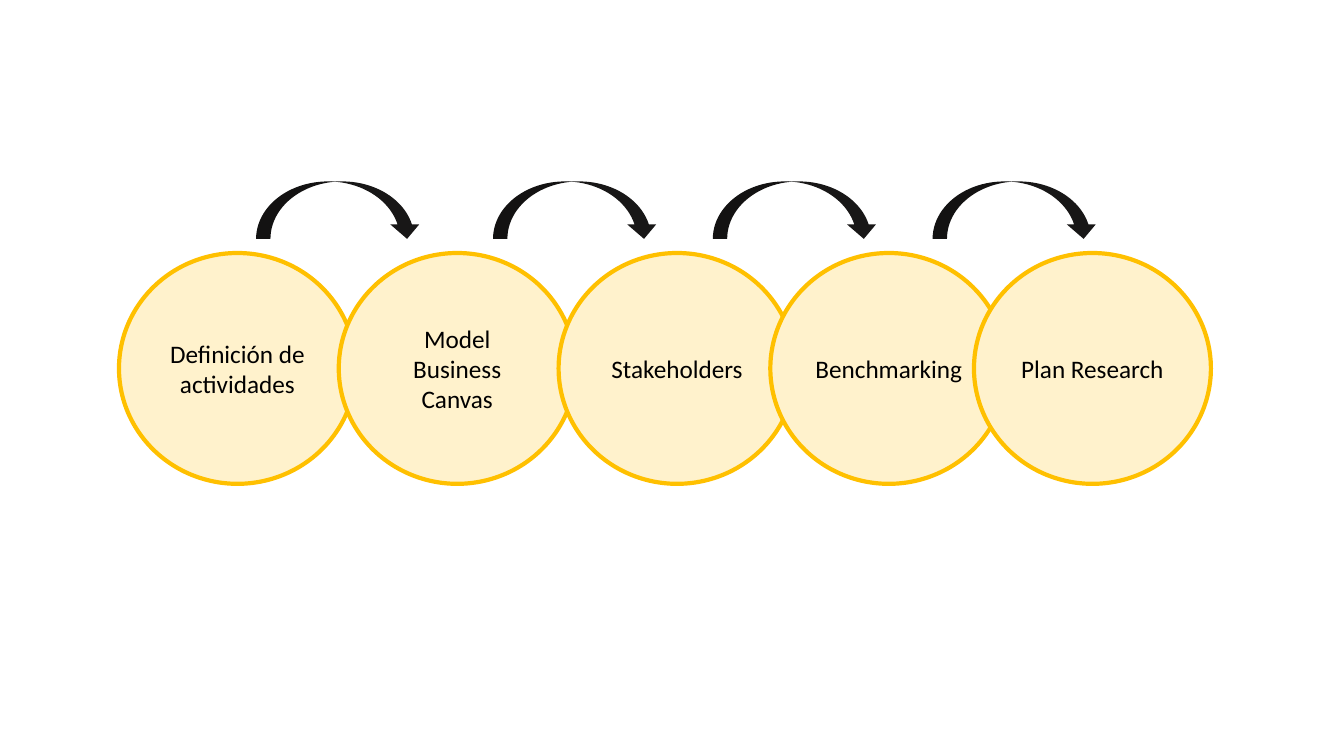
import dataclasses

import pptx
import pptx.dml.color
import pptx.enum.shapes
import pptx.enum.text
import pptx.util

PX = 9144  # EMU per px, 100 px to the inch
SHAPE = pptx.enum.shapes.MSO_SHAPE


@dataclasses.dataclass(frozen=True)
class Theme:
    font: str = "Calibri"
    text_size: int = 18
    line_width: int = 3
    text: str = "000000"
    circle_fill: str = "FFF2CC"
    circle_line: str = "FFC000"
    arrow: str = "181717"


THEME = Theme()

STEPS = [
    ("Definición de actividades", 118),
    ("Model Business Canvas", 336),
    ("Stakeholders", 554),
    ("Benchmarking", 764),
    ("Plan Research", 966),
]
CIRCLE_TOP, CIRCLE_WIDTH, CIRCLE_HEIGHT = 251, 235, 229
ARROW_LEFTS = [254, 489, 707, 925]
ARROW_TOP, ARROW_WIDTH, ARROW_HEIGHT = 180, 164, 57


def rgb(color):
    return pptx.dml.color.RGBColor.from_string(color)


def add_filled_shape(s, kind, box, fill):
    """Add a shadowless, unlined preset shape; box is left, top, width, height in px."""
    sp = s.shapes.add_shape(kind, *(v * PX for v in box))
    sp.shadow.inherit = False
    sp.fill.solid()
    sp.fill.fore_color.rgb = rgb(fill)
    sp.line.fill.background()
    return sp


def add_step(s, label, left):
    box = (left, CIRCLE_TOP, CIRCLE_WIDTH, CIRCLE_HEIGHT)
    sp = add_filled_shape(s, SHAPE.OVAL, box, THEME.circle_fill)
    sp.line.color.rgb = rgb(THEME.circle_line)
    sp.line.width = pptx.util.Pt(THEME.line_width)
    tf = sp.text_frame
    tf.text = label
    tf.word_wrap = True
    tf.vertical_anchor = pptx.enum.text.MSO_ANCHOR.MIDDLE
    p = tf.paragraphs[0]
    p.alignment = pptx.enum.text.PP_ALIGN.CENTER
    font = p.runs[0].font
    font.name = THEME.font
    font.size = pptx.util.Pt(THEME.text_size)
    font.color.rgb = rgb(THEME.text)


def add_arrow(s, left):
    box = (left, ARROW_TOP, ARROW_WIDTH, ARROW_HEIGHT)
    add_filled_shape(s, SHAPE.CURVED_DOWN_ARROW, box, THEME.arrow)


def main():
    prs = pptx.Presentation()
    prs.slide_width = 1333 * PX
    prs.slide_height = 750 * PX
    s = prs.slides.add_slide(prs.slide_layouts[6])
    for label, left in STEPS:
        add_step(s, label, left)
    for left in ARROW_LEFTS:
        add_arrow(s, left)
    prs.save("out.pptx")


if __name__ == "__main__":
    main()
